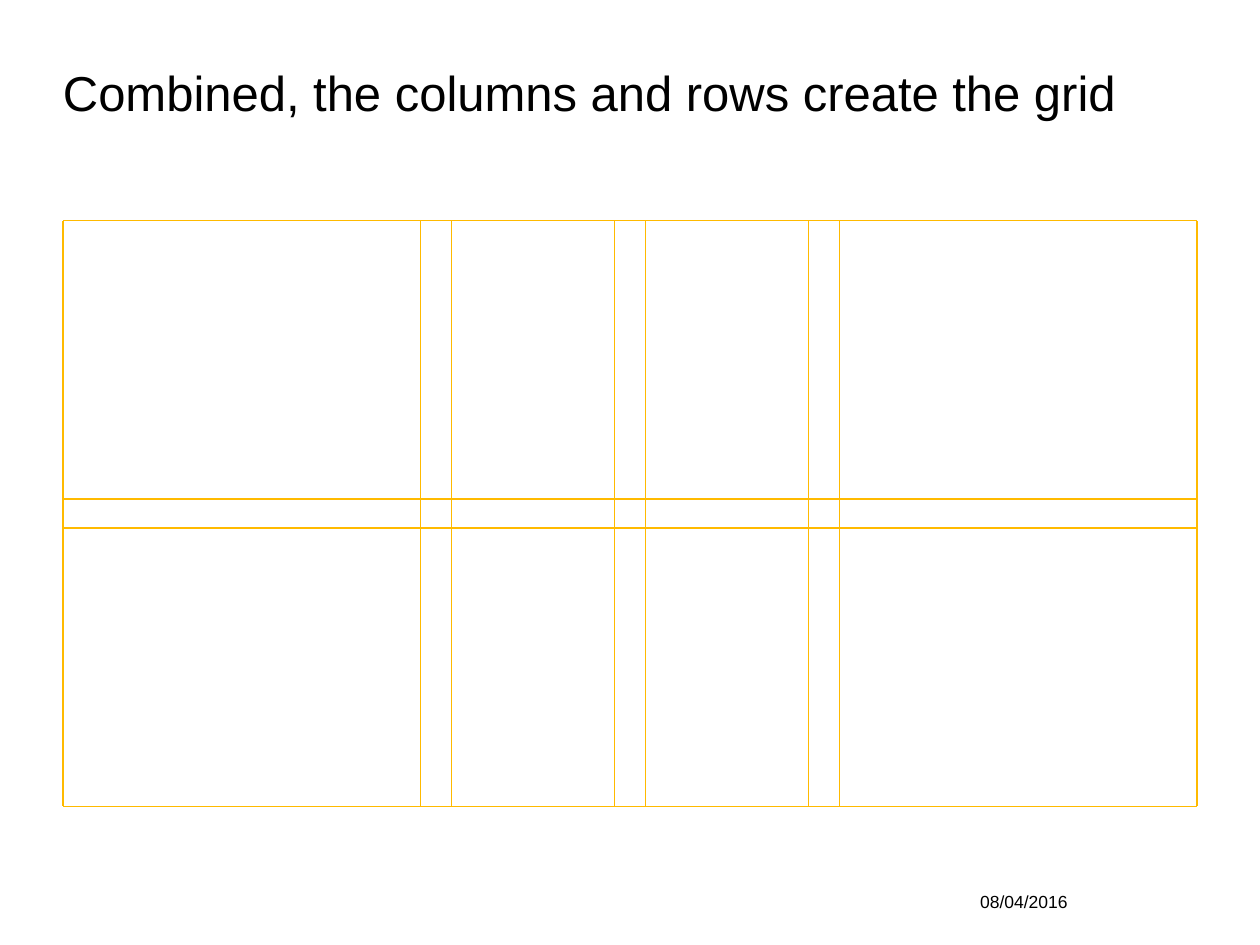
from lxml import etree
from pptx import Presentation
from pptx import util as u
from pptx.dml import color
from pptx.enum import shapes, text
from pptx.oxml import ns

IN = u.Inches
deck = Presentation()
deck.slide_width, deck.slide_height = IN(10), IN(7.5)
slide = deck.slides.add_slide(deck.slide_layouts[6])


def rgb(code):
    return color.RGBColor.from_string(code)


def write(words, at, size, align="LEFT", anchor="TOP", pad=0):
    box = slide.shapes.add_textbox(*[IN(n) for n in at])
    frame = box.text_frame
    frame.word_wrap = True
    frame.vertical_anchor = text.MSO_ANCHOR[anchor]
    frame.margin_left = frame.margin_right = IN(pad)
    frame.margin_top = frame.margin_bottom = 0
    para = frame.paragraphs[0]
    para.text = words
    para.alignment = text.PP_ALIGN[align]
    font = para.font
    font.name, font.size = "Arial", u.Pt(size)
    font.color.rgb = rgb("000000")


# Title and date
write("Combined, the columns and rows create the grid", (0.5, 0.5, 9, 1), 28)
write("08/04/2016", (7.08, 7.07, 1.49, 0.17), 10,
      align="RIGHT", anchor="MIDDLE", pad=0.1)

# Grid edges, with gutters around evenly spaced column centres
left, right, top, low = 0.5, 9.5, 1.75, 6.4
mid, step, gap = 5, 1.54, 0.25
cols = [left, right]
for n in (-1, 0, 1):
    spot = mid + n * step
    cols += [spot - gap / 2, spot + gap / 2]
rows = [top, low, 3.96, 4.19]

# Grid lines
lines = [(left, y, right, y) for y in rows]
lines += [(x, top, x, low) for x in cols]
for ends in lines:
    rule = slide.shapes.add_connector(
        shapes.MSO_CONNECTOR.STRAIGHT, *[IN(n) for n in ends])
    rule.line.color.rgb = rgb("FFBA00")
    rule.line.width = u.Pt(0.75)
    etree.SubElement(rule._element.spPr, ns.qn("a:effectLst"))

deck.save("out.pptx")
